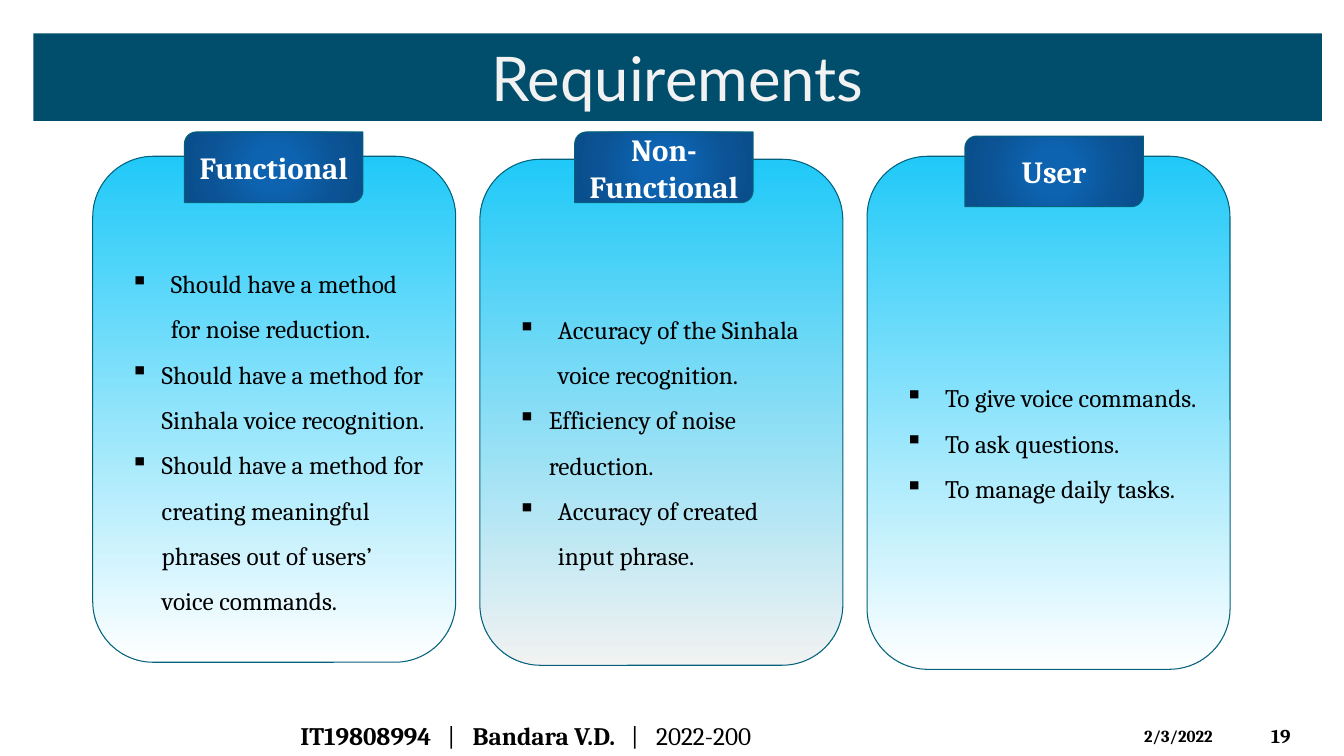
from dataclasses import dataclass

from lxml import etree
from pptx import Presentation
from pptx.dml.color import RGBColor
from pptx.enum.shapes import MSO_SHAPE
from pptx.enum.text import MSO_ANCHOR, MSO_AUTO_SIZE, PP_ALIGN
from pptx.oxml.ns import qn
from pptx.util import Inches, Pt

CARD_SHAPE = MSO_SHAPE.ROUNDED_RECTANGLE
LABEL_SHAPE = MSO_SHAPE.ROUND_2_DIAG_RECTANGLE
MIDDLE, TOP = MSO_ANCHOR.MIDDLE, MSO_ANCHOR.TOP
CENTER, LEFT = PP_ALIGN.CENTER, PP_ALIGN.LEFT
NO_AUTOFIT = MSO_AUTO_SIZE.NONE

BODY_FONT, TITLE_FONT = "Cambria", "Lato"
BLACK, WHITE, OUTLINE = "000000", "FFFFFF", "04617B"
LABEL_STOPS = [(0, "0D63B0"), (23, "0D63B0"), (69, "0B5394"), (97, "0A4E8B")]

# Three-column grid, in inches
CARD_LEFT, CARD_PITCH, CARD_WIDTH = 0.92, 3.84, 3.6
LABEL_LEFT, LABEL_PITCH, LABEL_WIDTH, LABEL_HEIGHT = 1.83, 3.87, 1.77, 0.7
INSET = 0.1
WIDE, NARROW = (0.5, -0.4), (0.41, -0.31)  # left margin, first-line indent


@dataclass
class Bullet:
    text: str
    indent: tuple[float, float] = WIDE


@dataclass
class Card:
    heading: str
    top: float
    height: float
    label_top: float
    text_drop: float
    end_color: str
    bullets: list[Bullet]


@dataclass
class FooterText:
    left: float
    top: float
    width: float
    height: float
    size: int
    anchor: MSO_ANCHOR
    runs: list[tuple[str, bool]]
    tabs: tuple[float, ...] = ()


CARDS = [
    Card("Functional", 1.55, 5.02, 1.31, 0.5, WHITE, [
        Bullet("Should have a method for noise reduction."),
        Bullet("Should have a method for Sinhala voice recognition.", NARROW),
        Bullet("Should have a method for creating meaningful phrases "
               "out of users’ voice commands.", NARROW),
    ]),
    Card("Non- Functional", 1.58, 5.02, 1.31, 0.45, "F2F2F2", [
        Bullet("Accuracy of the Sinhala voice recognition."),
        Bullet("Efficiency of noise reduction.", NARROW),
        Bullet("Accuracy of created input phrase."),
    ]),
    Card("User", 1.55, 5.09, 1.35, 0.45, WHITE, [
        Bullet("To give voice commands."),
        Bullet("To ask questions."),
        Bullet("To manage daily tasks."),
    ]),
]

FOOTER = [
    FooterText(12.51, 7.1, 0.74, 0.4, 14, MIDDLE, [("19", True)]),
    FooterText(11.25, 7.15, 1.17, 0.3, 12, TOP, [("2/3/2022", True)]),
    FooterText(2.88, 7.1, 7.45, 0.4, 18, MIDDLE,
               [("IT19808994", True), ("\t|\t", False),
                ("Bandara V.D.", True), ("\t|\t2022-200", False)],
               (1.46, 1.71, 3.28, 3.53)),
]


def color(value: str) -> RGBColor:
    return RGBColor.from_string(value)


def add_run(paragraph, text: str, size: int, ink: str,
            bold: bool = False, font: str = BODY_FONT) -> None:
    run = paragraph.add_run()
    run.text = text
    run.font.name, run.font.size, run.font.bold = font, Pt(size), bold
    run.font.color.rgb = color(ink)


def fill_gradient(shape, stops: list[tuple[int, str]], radial: bool) -> None:
    shape.fill.gradient()
    gradient = shape._element.spPr.find(qn("a:gradFill"))
    for child in list(gradient):
        gradient.remove(child)
    stop_list = etree.SubElement(gradient, qn("a:gsLst"))
    for position, value in stops:
        stop = etree.SubElement(stop_list, qn("a:gs"), pos=str(position * 1000))
        etree.SubElement(stop, qn("a:srgbClr"), val=value)
    if radial:
        circle = etree.SubElement(gradient, qn("a:path"), path="circle")
        center = dict.fromkeys("ltrb", "50000")
        etree.SubElement(circle, qn("a:fillToRect"), **center)
    else:
        etree.SubElement(gradient, qn("a:lin"), ang="5400000", scaled="0")


def add_panel(slide, kind: MSO_SHAPE, left: float, top: float, width: float,
              height: float, stops: list[tuple[int, str]], radial: bool = False):
    shape = slide.shapes.add_shape(
        kind, Inches(left), Inches(top), Inches(width), Inches(height))
    shape.adjustments[0] = 0.167
    shape.shadow.inherit = False
    fill_gradient(shape, stops, radial)
    shape.line.color.rgb = color(OUTLINE)
    shape.line.width = Pt(0.75)
    frame = shape.text_frame
    frame.word_wrap = True
    frame.vertical_anchor = MIDDLE
    frame.margin_left = frame.margin_right = Inches(INSET)
    frame.margin_top = frame.margin_bottom = Inches(INSET)
    return shape


def format_bullet(paragraph, indent: tuple[float, float]) -> None:
    paragraph.alignment = LEFT
    paragraph.line_spacing = 1.5
    properties = paragraph._p.get_or_add_pPr()
    margin, first_line = indent
    properties.set("marL", str(Inches(margin)))
    properties.set("indent", str(Inches(first_line)))
    bullet_color = etree.SubElement(properties, qn("a:buClr"))
    etree.SubElement(bullet_color, qn("a:srgbClr"), val=BLACK)
    etree.SubElement(properties, qn("a:buChar"), char="▪")


def add_card(slide, column: int, card: Card) -> None:
    # Body with its list
    body = add_panel(slide, CARD_SHAPE, CARD_LEFT + column * CARD_PITCH, card.top,
                     CARD_WIDTH, card.height, [(0, "20C9F8"), (100, card.end_color)])
    frame = body.text_frame
    frame.margin_top = Inches(INSET + card.text_drop)
    for index, bullet in enumerate(card.bullets):
        paragraph = frame.add_paragraph() if index else frame.paragraphs[0]
        format_bullet(paragraph, bullet.indent)
        add_run(paragraph, bullet.text, 18, BLACK)

    # Heading label
    label = add_panel(slide, LABEL_SHAPE, LABEL_LEFT + column * LABEL_PITCH,
                      card.label_top, LABEL_WIDTH, LABEL_HEIGHT, LABEL_STOPS, True)
    paragraph = label.text_frame.paragraphs[0]
    paragraph.alignment = CENTER
    add_run(paragraph, card.heading, 22, WHITE, True)


def add_title(slide, text: str) -> None:
    title = slide.shapes.title
    title.left, title.top = Inches(0.33), Inches(0.33)
    title.width, title.height = Inches(12.78), Inches(0.87)
    title.fill.solid()
    title.fill.fore_color.rgb = color("004E6C")
    frame = title.text_frame
    frame.auto_size = NO_AUTOFIT
    frame.vertical_anchor = MIDDLE
    frame.paragraphs[0].alignment = CENTER
    add_run(frame.paragraphs[0], text, 44, "F2F2F2", font=TITLE_FONT)


def add_footer_text(slide, item: FooterText) -> None:
    box = slide.shapes.add_textbox(Inches(item.left), Inches(item.top),
                                   Inches(item.width), Inches(item.height))
    frame = box.text_frame
    frame.word_wrap = True
    frame.vertical_anchor = item.anchor
    paragraph = frame.paragraphs[0]
    if item.tabs:
        tab_list = etree.SubElement(paragraph._p.get_or_add_pPr(), qn("a:tabLst"))
        for position in item.tabs:
            etree.SubElement(tab_list, qn("a:tab"), pos=str(Inches(position)), algn="l")
    for text, bold in item.runs:
        add_run(paragraph, text, item.size, BLACK, bold)


def main() -> None:
    presentation = Presentation()
    presentation.slide_width, presentation.slide_height = Inches(13.33), Inches(7.5)
    slide = presentation.slides.add_slide(presentation.slide_layouts[5])
    add_title(slide, "Requirements")
    for column, card in enumerate(CARDS):
        add_card(slide, column, card)
    for item in FOOTER:
        add_footer_text(slide, item)
    presentation.save("out.pptx")


if __name__ == "__main__":
    main()
